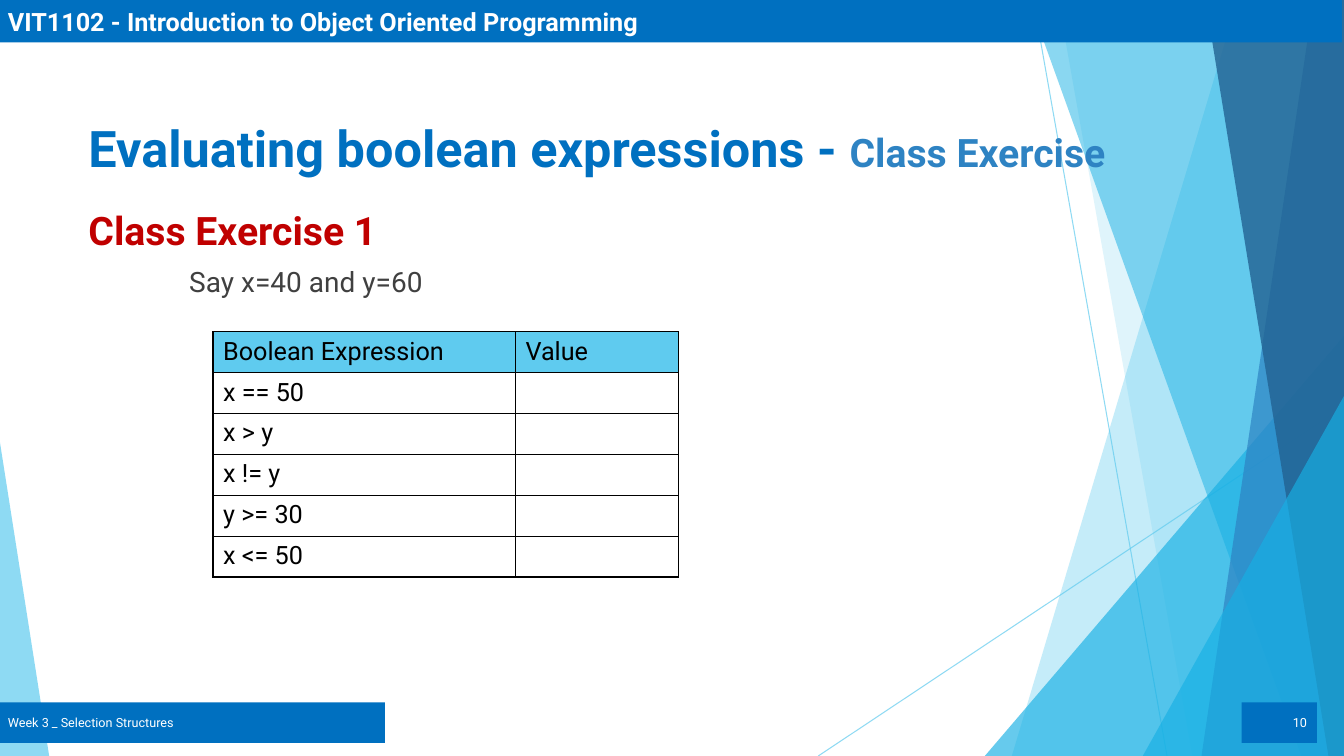
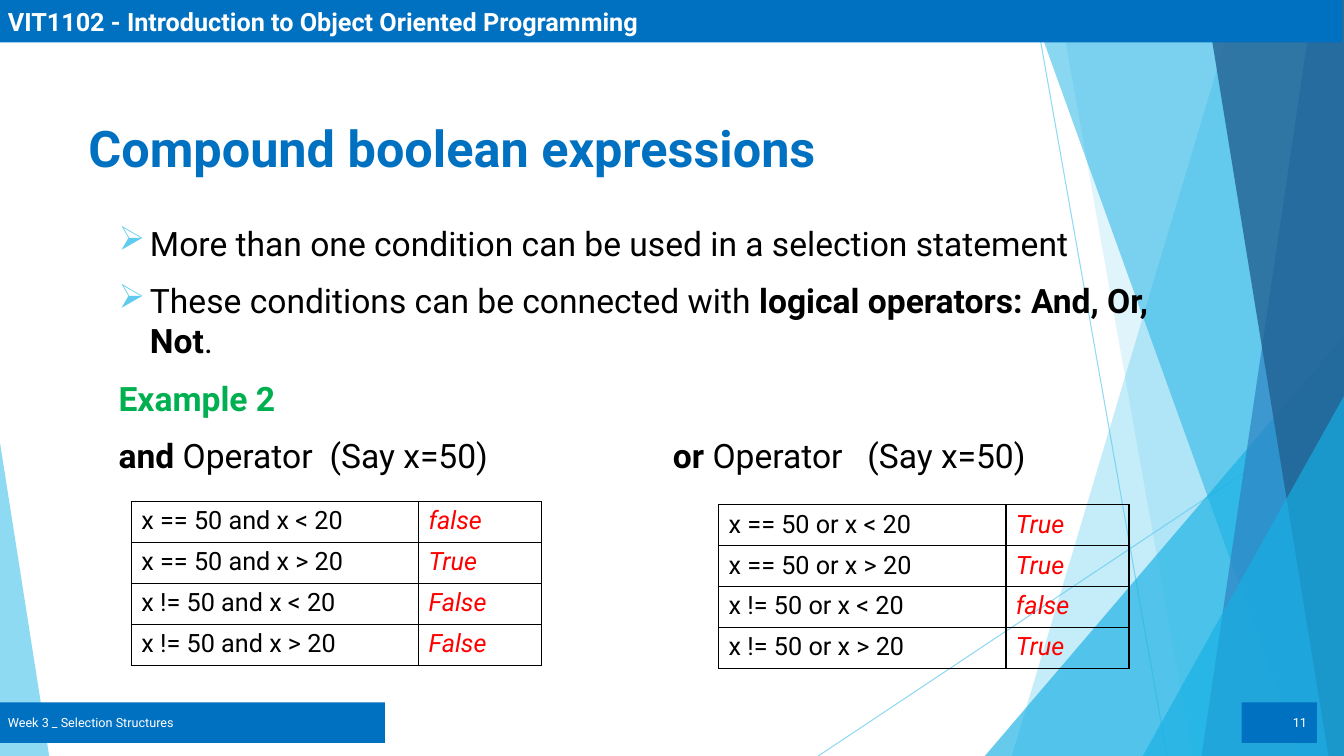
"""Build two lecture slides on boolean expressions."""
from dataclasses import dataclass
from typing import Any

from lxml import etree
from pptx import Presentation
from pptx import slide as sl
from pptx import util as u
from pptx.dml.color import RGBColor
from pptx.enum import shapes, text
from pptx.oxml import ns

BLUE = RGBColor(0x00, 0x70, 0xC0)
MID_BLUE = RGBColor(0x2E, 0x83, 0xC3)
NAVY = RGBColor(0x22, 0x62, 0x92)
SKY = RGBColor(0x5F, 0xCB, 0xEF)
CYAN = RGBColor(0x17, 0xB0, 0xE4)
WHITE = RGBColor(0xFF, 0xFF, 0xFF)
BLACK = RGBColor(0x00, 0x00, 0x00)
GREY = RGBColor(0x40, 0x40, 0x40)
DARK_RED = RGBColor(0xC0, 0x00, 0x00)
RED = RGBColor(0xFF, 0x00, 0x00)
GREEN = RGBColor(0x00, 0xB0, 0x50)

FONT = "Roboto"
WIDTH, HEIGHT = 33.87, 19.05
ROW_HEIGHT = 1.03
MARGIN_LEFT = 1.98
COURSE = "VIT1102 - Introduction to Object Oriented Programming"
WEEK = "Week 3 _ Selection Structures"


@dataclass(frozen=True)
class Ray:
    """Thin line, in centimetres."""
    x1: float
    y1: float
    x2: float
    y2: float


@dataclass(frozen=True)
class Band:
    """Full-height facet reaching the right edge of the page."""
    top: float
    bottom: float
    color: RGBColor
    opacity: int


@dataclass(frozen=True)
class Corner:
    """Right-angled triangle standing on the bottom edge."""
    left: float
    top: float
    width: float
    apex: float
    color: RGBColor
    opacity: int


RAYS = (Ray(26.04, 0, 29.41, HEIGHT), Ray(WIDTH, 10.24, 20.62, HEIGHT))
FACETS = (
    Band(31.19, 25.5, SKY, 36),
    Band(26.67, 30.05, SKY, 20),
    Corner(24.82, 8.46, 9.05, 1, CYAN, 66),
    Band(25.93, 32.79, CYAN, 50),
    Band(33.1, 30.28, MID_BLUE, 70),
    Band(30.38, 33.48, NAVY, 80),
    Corner(28.8, 9.98, 5.07, 1, CYAN, 66),
    Corner(0, 11.15, 1.24, 0, SKY, 70),
)


def add_element(parent: Any, tag: str, **attributes: str) -> Any:
    """Append a drawing element to its parent."""
    return etree.SubElement(parent, ns.qn(tag), attributes)


def set_opacity(shape: Any, percent: int) -> None:
    """Make the first colour of a shape partly transparent."""
    color = shape.element.spPr.find(".//" + ns.qn("a:srgbClr"))
    add_element(color, "a:alpha", val=str(percent * 1000))


def fill_shape(shape: Any, color: RGBColor) -> None:
    """Give a shape a flat fill without outline or shadow."""
    shape.shadow.inherit = False
    shape.fill.solid()
    shape.fill.fore_color.rgb = color
    shape.line.fill.background()


def write(para: Any, content: str, *, size: float = 18, color: RGBColor = BLACK,
          bold: bool = False, italic: bool = False) -> None:
    """Append formatted text to a paragraph."""
    span = para.add_run()
    span.text = content
    font = span.font
    font.name, font.size, font.bold, font.italic = FONT, u.Pt(size), bold, italic
    font.color.rgb = color


def add_box(page: sl.Slide, left: float, top: float, width: float, height: float) -> Any:
    """Add a wrapping text box and return its text frame."""
    frame = page.shapes.add_textbox(u.Cm(left), u.Cm(top), u.Cm(width), u.Cm(height)).text_frame
    frame.word_wrap = True
    return frame


def add_bar(page: sl.Slide, left: float, top: float, width: float, height: float, content: str,
            align: text.PP_ALIGN = text.PP_ALIGN.LEFT, **style: Any) -> None:
    """Add a blue bar with white text."""
    bar = page.shapes.add_shape(shapes.MSO_SHAPE.RECTANGLE, u.Cm(left), u.Cm(top),
                                u.Cm(width), u.Cm(height))
    fill_shape(bar, BLUE)
    bar.text_frame.vertical_anchor = text.MSO_ANCHOR.MIDDLE
    para = bar.text_frame.paragraphs[0]
    para.alignment = align
    write(para, content, color=WHITE, **style)


def add_ray(page: sl.Slide, ray: Ray) -> None:
    """Draw one thin background line."""
    line = page.shapes.add_connector(shapes.MSO_CONNECTOR.STRAIGHT, u.Cm(ray.x1), u.Cm(ray.y1),
                                     u.Cm(ray.x2), u.Cm(ray.y2))
    line.line.color.rgb = SKY
    line.line.width = u.Pt(0.75)
    set_opacity(line, 70)
    add_element(line.element.spPr, "a:effectLst")


def add_facet(page: sl.Slide, facet: Band | Corner) -> None:
    """Draw one translucent background facet."""
    if isinstance(facet, Band):
        outline = page.shapes.build_freeform(u.Cm(facet.top), 0)
        outline.add_line_segments([(u.Cm(WIDTH), 0), (u.Cm(WIDTH), u.Cm(HEIGHT)),
                                   (u.Cm(facet.bottom), u.Cm(HEIGHT))])
        shape = outline.convert_to_shape()
    else:
        shape = page.shapes.add_shape(shapes.MSO_SHAPE.ISOSCELES_TRIANGLE, u.Cm(facet.left),
                                      u.Cm(facet.top), u.Cm(facet.width),
                                      u.Cm(HEIGHT - facet.top))
        shape.adjustments[0] = facet.apex
    fill_shape(shape, facet.color)
    set_opacity(shape, facet.opacity)


def add_page(deck: Any, number: int, title: str, subtitle: str = "") -> sl.Slide:
    """Add a page with background, bars and heading."""
    page = deck.slides.add_slide(deck.slide_layouts[6])
    for ray in RAYS:
        add_ray(page, ray)
    for facet in FACETS:
        add_facet(page, facet)
    add_bar(page, -0.05, 0, WIDTH, 1.07, COURSE, bold=True)
    add_bar(page, 31.29, 17.7, 1.9, 1.02, str(number), text.PP_ALIGN.RIGHT, size=9)
    add_bar(page, -0.05, 17.7, 9.75, 1.02, WEEK, size=9)
    para = add_box(page, MARGIN_LEFT, 2.82, 28.42, 1.8).paragraphs[0]
    write(para, title, size=36, color=BLUE, bold=True)
    if subtitle:
        write(para, subtitle, size=28, color=MID_BLUE, bold=True)
    return page


def add_borders(cell: Any) -> None:
    """Draw a thin black border on each side of a cell."""
    properties = cell._tc.get_or_add_tcPr()
    for side in "LRTB":
        line = add_element(properties, f"a:ln{side}", w=str(u.Pt(1)))
        add_element(add_element(line, "a:solidFill"), "a:srgbClr", val=str(BLACK))


def add_grid(page: sl.Slide, left: float, top: float, widths: tuple[float, float],
             rows: list[tuple[str, str]], header: bool = False) -> None:
    """Add a bordered table of expressions and their values."""
    grid = page.shapes.add_table(len(rows), len(widths), u.Cm(left), u.Cm(top),
                                 u.Cm(sum(widths)), u.Cm(ROW_HEIGHT * len(rows))).table
    grid.first_row = grid.horz_banding = False
    for column, width in zip(grid.columns, widths):
        column.width = u.Cm(width)
    for row_index, row in enumerate(rows):
        grid.rows[row_index].height = u.Cm(ROW_HEIGHT)
        heading = header and row_index == 0
        for column_index, content in enumerate(row):
            cell = grid.cell(row_index, column_index)
            add_borders(cell)
            if heading:
                cell.fill.solid()
                cell.fill.fore_color.rgb = SKY
            else:
                cell.fill.background()
            if content:
                answer = column_index == 1 and not heading
                write(cell.text_frame.paragraphs[0], content,
                      color=RED if answer else BLACK, italic=answer)


def add_bullet(para: Any) -> None:
    """Give a paragraph a hanging arrow bullet."""
    properties = para._p.get_or_add_pPr()
    indent = u.Cm(0.79)
    properties.set("marL", str(indent))
    properties.set("indent", str(-indent))
    add_element(add_element(properties, "a:buClr"), "a:srgbClr", val=str(SKY))
    add_element(properties, "a:buChar", char="➢")


def add_tabs(para: Any, *positions: float) -> None:
    """Set left tab stops at the given centimetres."""
    tabs = add_element(para._p.get_or_add_pPr(), "a:tabLst")
    for position in positions:
        add_element(tabs, "a:tab", pos=str(u.Cm(position)), algn="l")


def build_exercise(deck: Any) -> None:
    """Build the class exercise page."""
    page = add_page(deck, 10, "Evaluating boolean expressions - ", "Class Exercise")
    write(add_box(page, 4.52, 6.55, 21.3, 1.1).paragraphs[0], "Say x=40 and y=60",
          size=20, color=GREY)
    expressions = ("x == 50", "x > y", "x != y", "y >= 30", "x <= 50")
    add_grid(page, 5.37, 8.36, (7.62, 4.1),
             [("Boolean Expression", "Value"), *((item, "") for item in expressions)],
             header=True)
    write(add_box(page, MARGIN_LEFT, 5.08, 10.9, 1.45).paragraphs[0], "Class Exercise 1",
          size=28, color=DARK_RED, bold=True)


def build_compound(deck: Any) -> None:
    """Build the compound expressions page."""
    page = add_page(deck, 11, "Compound boolean expressions")
    frame = add_box(page, 2.74, 5.49, 27.76, 9.09)
    paras = [frame.paragraphs[0], *(frame.add_paragraph() for _ in range(3))]
    for index, para in enumerate(paras):
        para.space_before = u.Pt(6 if index else 0)
        para.space_after = u.Pt(6)
    condition, connection, example, operators = paras
    add_bullet(condition)
    add_bullet(connection)
    add_tabs(operators, 5.32, 13.97, 18.87)
    write(condition, "More than one condition can be used in a selection statement", size=24)
    write(connection, "These conditions can be connected with ", size=24)
    write(connection, "logical operators: And, Or, Not", size=24, bold=True)
    write(connection, ".", size=24)
    write(example, "Example 2", size=24, color=GREEN, bold=True)
    write(operators, "and ", size=24, bold=True)
    write(operators, "Operator\t(Say x=50)\t", size=24)
    write(operators, "or ", size=24, bold=True)
    write(operators, "Operator\t(Say x=50)", size=24)

    pairs = [(first, second) for first in ("==", "!=") for second in "<>"]
    for left, top, operator, values in (
        (3.31, 12.64, "and", ("false", "True", "False", "False")),
        (18.11, 12.72, "or", ("True", "True", "false", "True")),
    ):
        rows = [(f"x {first} 50 {operator} x {second} 20", value)
                for (first, second), value in zip(pairs, values)]
        add_grid(page, left, top, (7.24, 3.1), rows)


def main() -> None:
    """Create and save the deck."""
    deck = Presentation()
    deck.slide_width, deck.slide_height = u.Cm(WIDTH), u.Cm(HEIGHT)
    build_exercise(deck)
    build_compound(deck)
    deck.save("out.pptx")


if __name__ == "__main__":
    main()
